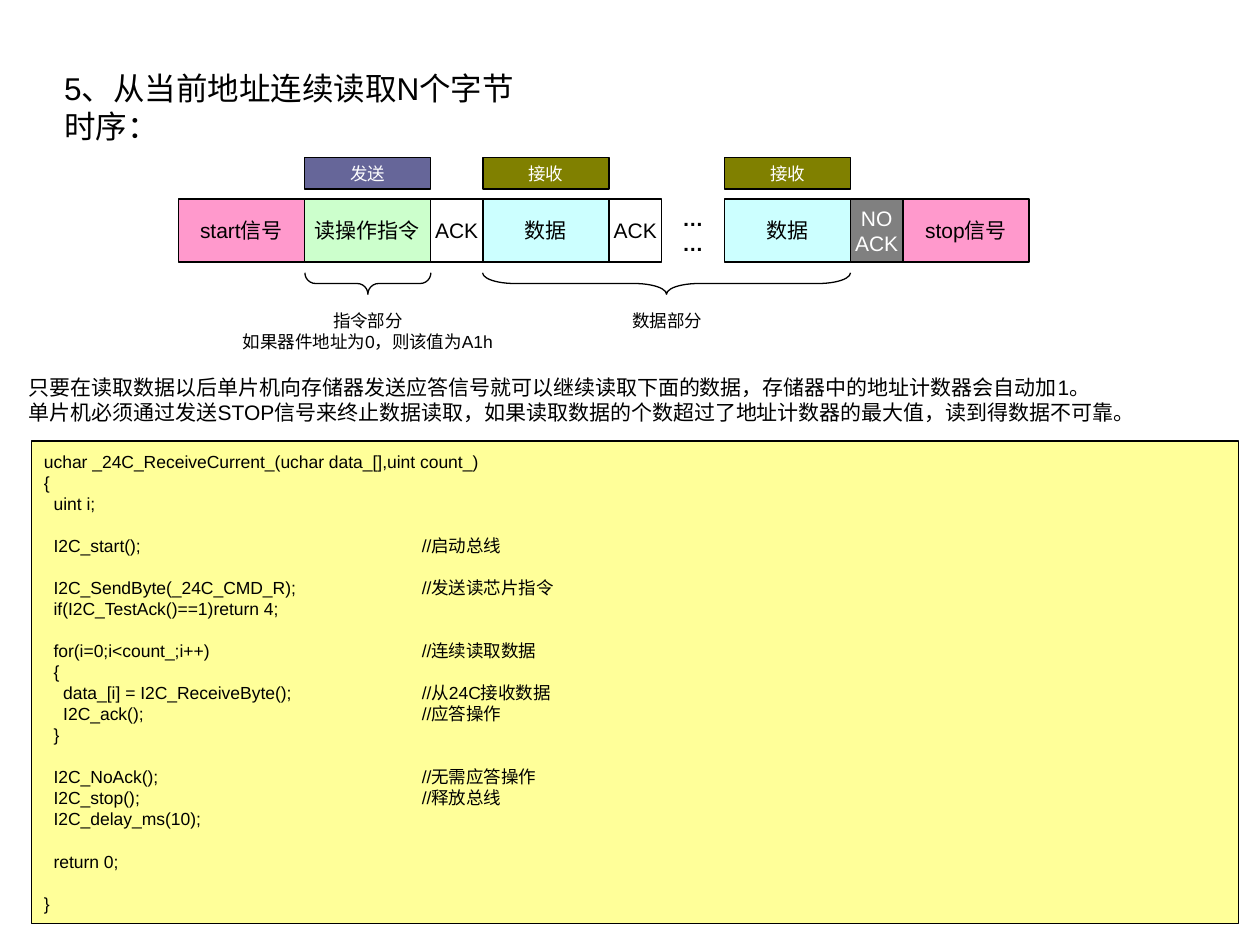
import pptx
import pptx.util
import pptx.dml.color
import pptx.enum.shapes
import pptx.enum.text
import pptx.oxml
import pptx.oxml.ns

Inches = pptx.util.Inches
Pt = pptx.util.Pt
RGBColor = pptx.dml.color.RGBColor
Shape = pptx.enum.shapes.MSO_SHAPE
Align = pptx.enum.text.PP_ALIGN
Anchor = pptx.enum.text.MSO_ANCHOR

BLACK = RGBColor(0x00, 0x00, 0x00)
WHITE = RGBColor(0xFF, 0xFF, 0xFF)
PINK = RGBColor(0xFF, 0x99, 0xCC)
GREEN = RGBColor(0xCC, 0xFF, 0xCC)
CYAN = RGBColor(0xCC, 0xFF, 0xFF)
GRAY = RGBColor(0x80, 0x80, 0x80)
OLIVE = RGBColor(0x80, 0x80, 0x00)
INDIGO = RGBColor(0x66, 0x66, 0x99)
YELLOW = RGBColor(0xFF, 0xFF, 0x99)

deck = pptx.Presentation()
deck.slide_width = Inches(10)
deck.slide_height = Inches(7.5)
page = deck.slides.add_slide(deck.slide_layouts[6])


def write(box, text, size, color=BLACK, align=Align.CENTER, anchor=Anchor.MIDDLE, bold=None):
    frame = box.text_frame
    frame.text = text
    frame.word_wrap = False
    frame.vertical_anchor = anchor
    for para in frame.paragraphs:
        para.alignment = align
        for span in para.runs:
            span.font.name = "Arial"
            span.font.size = Pt(size)
            span.font.color.rgb = color
            span.font.bold = bold


def add_box(left, top, width, height, fill=None, kind=Shape.RECTANGLE):
    box = page.shapes.add_shape(kind, Inches(left), Inches(top), Inches(width), Inches(height))
    box.shadow.inherit = False
    if fill is None:
        box.fill.background()
    else:
        box.fill.solid()
        box.fill.fore_color.rgb = fill
    box.line.color.rgb = BLACK
    box.line.width = Pt(0.75)
    return box


labels = [
    (0.41, 0.5, 3.95, 0.7, "5、从当前地址连续读取N个字节\n时序：", 18, Align.LEFT, Anchor.TOP),
    (1.67, 2.42, 2.5, 0.42, "指令部分\n如果器件地址为0，则该值为A1h", 10, Align.CENTER, Anchor.MIDDLE),
    (4.67, 2.42, 1.25, 0.25, "数据部分", 10, Align.CENTER, Anchor.MIDDLE),
    (0.13, 2.92, 9.06, 0.5,
     "只要在读取数据以后单片机向存储器发送应答信号就可以继续读取下面的数据，存储器中的地址计数器会自动加1。\n"
     "单片机必须通过发送STOP信号来终止数据读取，如果读取数据的个数超过了地址计数器的最大值，读到得数据不可靠。",
     12, Align.LEFT, Anchor.TOP),
]
for left, top, width, height, text, size, align, anchor in labels:
    label = page.shapes.add_textbox(Inches(left), Inches(top), Inches(width), Inches(height))
    write(label, text, size, align=align, anchor=anchor)

ACK_WIDTH = 5 / 12
frames = [
    ("start信号", 1, PINK, BLACK, None),
    ("读操作指令", 1, GREEN, BLACK, ("发送", INDIGO)),
    ("ACK", ACK_WIDTH, WHITE, BLACK, None),
    ("数据", 1, CYAN, BLACK, ("接收", OLIVE)),
    ("ACK", ACK_WIDTH, WHITE, BLACK, None),
    ("……", 0.5, None, BLACK, None),
    ("数据", 1, CYAN, BLACK, ("接收", OLIVE)),
    ("NO\nACK", ACK_WIDTH, GRAY, WHITE, None),
    ("stop信号", 1, PINK, BLACK, None),
]
left = 17 / 12
for text, width, fill, color, tag in frames:
    if fill is None:
        dots = page.shapes.add_textbox(Inches(left), Inches(1.58), Inches(width), Inches(0.5))
        write(dots, text, 12, bold=True)
    else:
        write(add_box(left, 1.58, width, 0.5, fill), text, 12, color)
    if tag:
        write(add_box(left, 1.25, width, 0.25, tag[1]), tag[0], 10, WHITE)
    left += width

BRACE_DEPTH = 0.17
for center, span_width, curve in [(2.92, 1, 0.5), (5.29, 2.92, 1.5)]:
    brace = add_box(center - BRACE_DEPTH / 2, 2.25 - span_width / 2, BRACE_DEPTH, span_width,
                    kind=Shape.LEFT_BRACE)
    brace.rotation = 270
    brace.adjustments[0] = curve

code = [
    "uchar _24C_ReceiveCurrent_(uchar data_[],uint count_)",
    "{",
    "  uint i;",
    "  ",
    "  I2C_start();\t//启动总线",
    "  ",
    "  I2C_SendByte(_24C_CMD_R);\t//发送读芯片指令",
    "  if(I2C_TestAck()==1)return 4;",
    "  ",
    "  for(i=0;i<count_;i++)\t//连续读取数据",
    "  {",
    "    data_[i] = I2C_ReceiveByte();\t//从24C接收数据",
    "    I2C_ack();\t//应答操作",
    "  }",
    "  ",
    "  I2C_NoAck();\t//无需应答操作",
    "  I2C_stop();\t//释放总线",
    "  I2C_delay_ms(10);",
    "  ",
    "  return 0;",
    "  ",
    "}",
]
listing = add_box(0.25, 3.5, 9.58, 3.83, YELLOW)
write(listing, "\n".join(code), 10, align=Align.LEFT)
listing.text_frame.word_wrap = True
for para in listing.text_frame.paragraphs:
    if "\t" in para.text:
        properties = para._p.get_or_add_pPr()
        tabs = pptx.oxml.parse_xml(
            f'<a:tabLst {pptx.oxml.ns.nsdecls("a")}><a:tab pos="{Inches(3)}" algn="l"/></a:tabLst>')
        properties.append(tabs)

deck.save("out.pptx")
